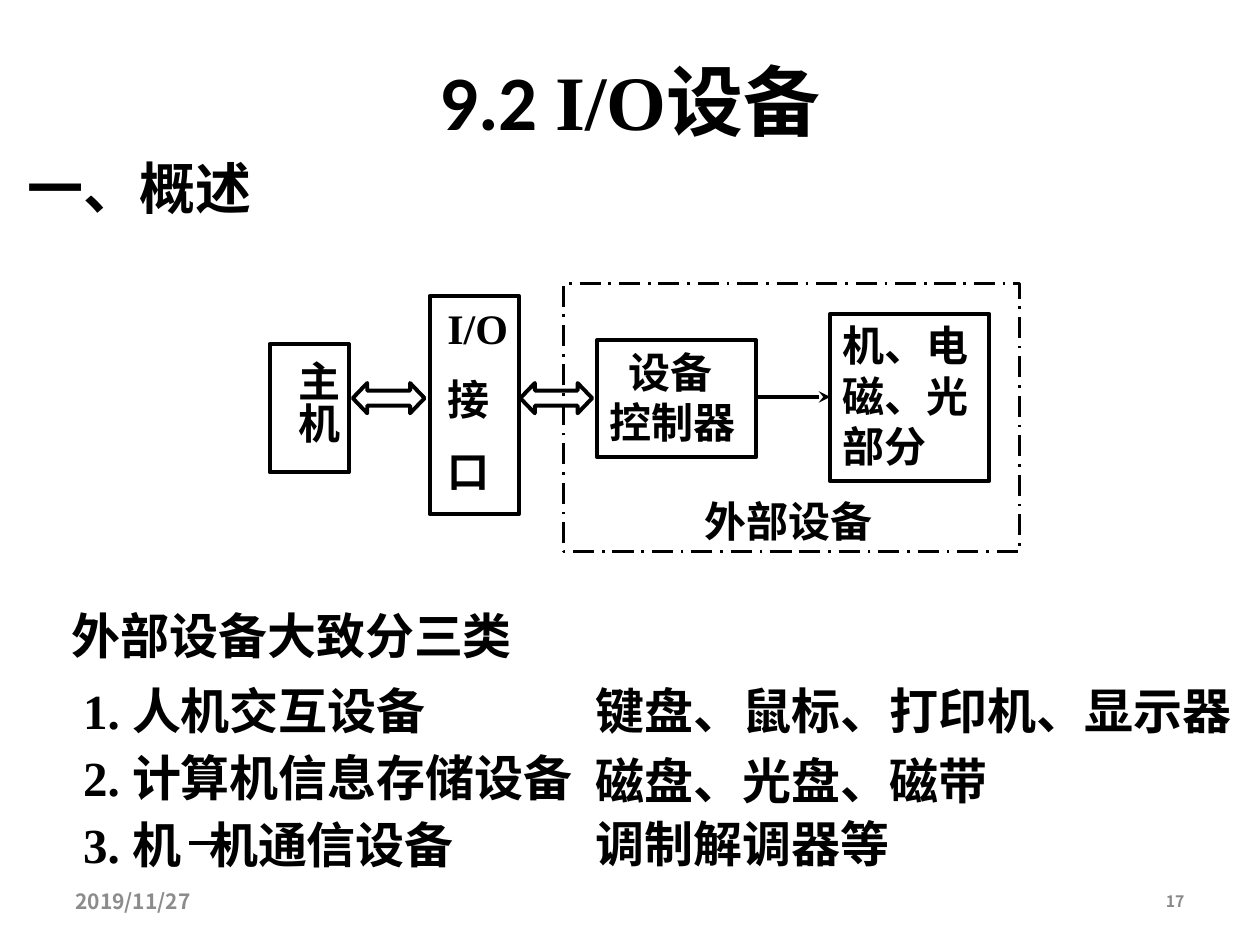
"""Build the slide that introduces I/O devices and their three classes."""
from lxml import etree
from pptx import Presentation, util as u
from pptx.dml.color import RGBColor
from pptx.enum import dml, shapes, text
from pptx.oxml import ns

BLACK = RGBColor(0, 0, 0)
DATE_GRAY = RGBColor(0x8C, 0x8C, 0x8C)
NUMBER_GRAY = RGBColor(0x89, 0x89, 0x89)
SERIF, SANS, CJK = "Times New Roman", "Calibri", "Noto Sans CJK SC"
MIDDLE, RIGHT = text.MSO_ANCHOR.MIDDLE, text.PP_ALIGN.RIGHT

TITLE = [("9.2 ", SANS), ("I/O", SERIF), ("设备", SANS)]
HEADINGS = [
    ("一、概述", (0.12, 1.17, 2.58, 0.63), 32),
    ("外部设备", (5.49, 3.88, 2.28, 0.5), 24),
    ("外部设备大致分三类", (0.47, 4.76, 4.83, 0.57), 28),
]
HOST = ("主机", (2.14, 2.73, 0.63, 1.02))
INTERFACE = ("I/O\n接\n口", (3.41, 2.35, 0.71, 1.73))
CONTROLLER = ("设备\n控制器", (4.74, 2.7, 1.26, 0.93))
MECHANISM = ("机、电\n磁、光\n部分", (6.59, 2.49, 1.26, 1.33))
PERIPHERAL_FRAME = (4.47, 2.25, 3.62, 2.13)
BUS_LEFTS = (2.8, 4.13)
CLASSES = ["1. 人机交互设备", "2. 计算机信息存储设备", "3. 机\t机通信设备"]
EXAMPLES = [
    ("键盘、鼠标、打印机、显示器", 5.35),
    ("磁盘、光盘、磁带", 5.91),
    ("调制解调器等", 6.41),
]
ROW_PITCH = 0.53
FOOTERS = [
    ("2019/11/27", 0.5, 12, DATE_GRAY, text.PP_ALIGN.LEFT),
    ("17", 7.17, 9, NUMBER_GRAY, RIGHT),
]


def inches(box):
    return [u.Inches(length) for length in box]


def style_run(run, size, face=SERIF, color=BLACK):
    run.font.size, run.font.name, run.font.bold = u.Pt(size), face, True
    run.font.color.rgb = color
    east_asian = etree.SubElement(run.font._element, ns.qn("a:ea"))
    east_asian.set("typeface", CJK if face == CJK else SANS)


def write(holder, words, size, face=SERIF, color=BLACK,
          align=text.PP_ALIGN.LEFT, anchor=text.MSO_ANCHOR.TOP):
    frame = holder.text_frame
    frame.text = words
    frame.word_wrap, frame.vertical_anchor = True, anchor
    frame.auto_size = text.MSO_AUTO_SIZE.NONE
    for paragraph in frame.paragraphs:
        paragraph.alignment = align
        for run in paragraph.runs:
            style_run(run, size, face, color)
    return frame


def add_outline(slide, kind, box, width=2.25):
    outline = slide.shapes.add_shape(kind, *inches(box))
    outline.shadow.inherit = False
    outline.fill.background()
    outline.line.color.rgb, outline.line.width = BLACK, u.Pt(width)
    return outline


def add_block(slide, block):
    words, box = block
    return write(add_outline(slide, shapes.MSO_SHAPE.RECTANGLE, box), words, 24)


def add_line(slide, left, right, y):
    line = slide.shapes.add_connector(
        shapes.MSO_CONNECTOR.STRAIGHT, *inches((left, y, right, y)))
    line.line.color.rgb, line.line.width = BLACK, u.Pt(2.25)
    etree.SubElement(line._element.spPr, ns.qn("a:effectLst"))
    return line


def add_diagram(slide):
    host = add_block(slide, HOST)
    host.margin_top = u.Inches(0.13)
    host._txBody.bodyPr.set("vert", "eaVert")

    controller = add_block(slide, CONTROLLER)
    controller.paragraphs[0]._p.get_or_add_pPr().set("marL", str(u.Inches(0.15)))
    add_block(slide, MECHANISM)

    interface = add_block(slide, INTERFACE)
    interface.margin_left, interface.margin_right = u.Inches(0.14), u.Inches(0.06)
    for paragraph in interface.paragraphs:
        paragraph.space_before = u.Pt(12)

    frame = add_outline(slide, shapes.MSO_SHAPE.RECTANGLE, PERIPHERAL_FRAME, 1.5)
    frame.line.dash_style = dml.MSO_LINE.LONG_DASH_DOT

    signal = add_line(slide, 6, 6.59, 3.15)
    etree.SubElement(signal.line._get_or_add_ln(), ns.qn("a:tailEnd"), type="stealth")
    for left in BUS_LEFTS:
        bus = add_outline(slide, shapes.MSO_SHAPE.LEFT_RIGHT_ARROW,
                          (left, 3.04, 0.57, 0.24))
        bus.adjustments[0], bus.adjustments[1] = 0.5, 0.48


def add_classes(slide, body):
    body.left, body.top, body.width, body.height = inches((0.56, 5.29, 4.58, 1.69))
    for paragraph in write(body, "\n".join(CLASSES), 28).paragraphs:
        paragraph.line_spacing = u.Pt(ROW_PITCH * 72)
        paragraph.space_before = u.Pt(0)
        properties = paragraph._p.get_or_add_pPr()
        properties.set("marL", "0")
        properties.set("indent", "0")
        etree.SubElement(properties, ns.qn("a:buNone"))
        tabs = etree.SubElement(properties, ns.qn("a:tabLst"))
        etree.SubElement(tabs, ns.qn("a:tab"), pos=str(u.Inches(1.32)), algn="l")
    add_line(slide, 1.5, 1.83, 6.69)


def main():
    deck = Presentation()
    deck.slide_width, deck.slide_height = u.Inches(10), u.Inches(7.5)
    slide = deck.slides.add_slide(deck.slide_layouts[1])
    title, body = slide.placeholders

    title.left, title.top, title.width, title.height = inches((0.75, 0.17, 8.5, 1.25))
    title.text_frame.vertical_anchor = MIDDLE
    heading = title.text_frame.paragraphs[0]
    heading.alignment = text.PP_ALIGN.CENTER
    for words, face in TITLE:
        run = heading.add_run()
        run.text = words
        style_run(run, 44, face)

    add_diagram(slide)
    add_classes(slide, body)
    for words, box, size in HEADINGS:
        write(slide.shapes.add_textbox(*inches(box)), words, size)
    for words, top in EXAMPLES:
        write(slide.shapes.add_textbox(*inches((4.63, top, 5.5, 0.57))), words, 28)
    for words, left, size, color, align in FOOTERS:
        footer = slide.shapes.add_textbox(*inches((left, 6.95, 2.33, 0.4)))
        write(footer, words, size, CJK, color, align, MIDDLE)
    deck.save("out.pptx")


if __name__ == "__main__":
    main()
